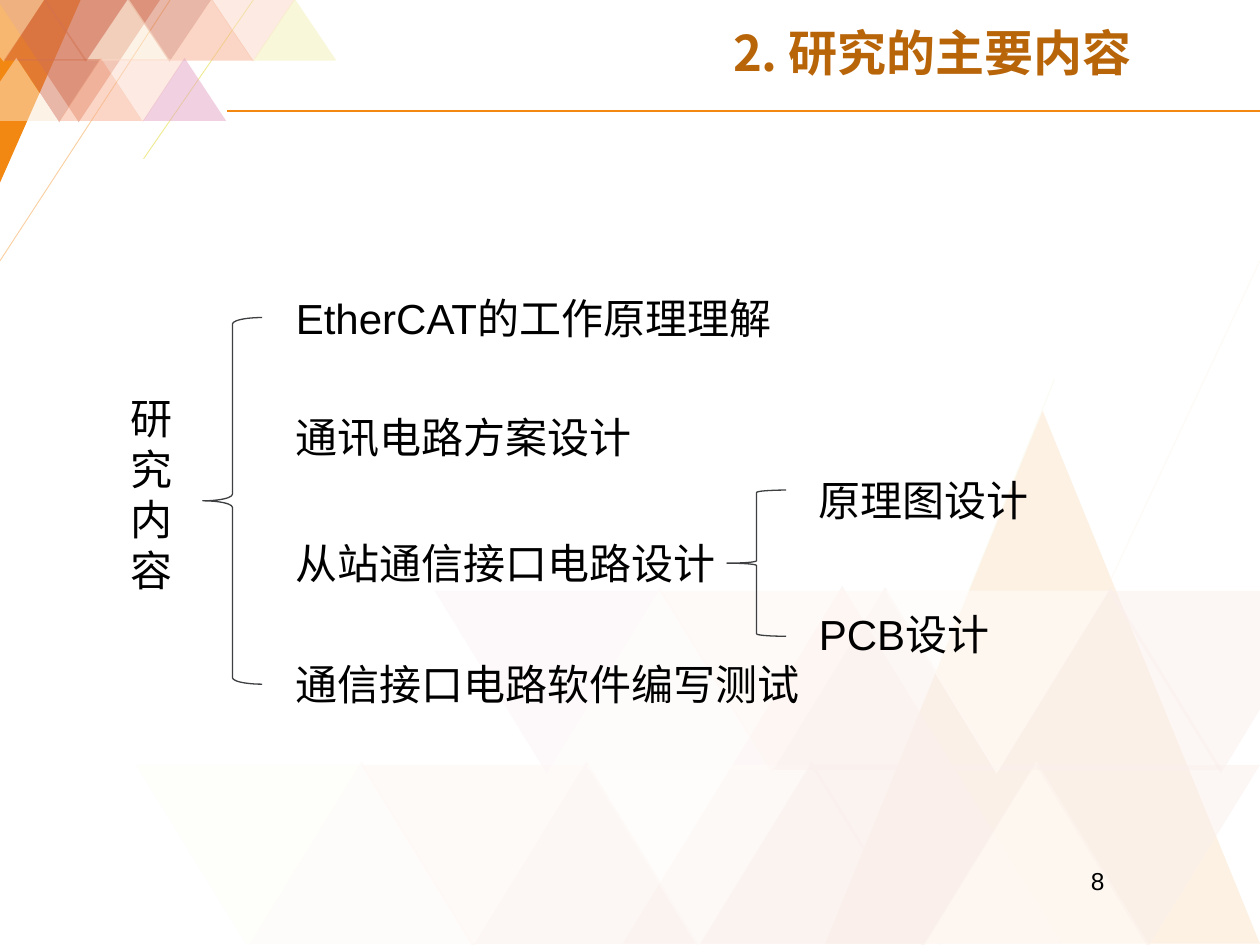
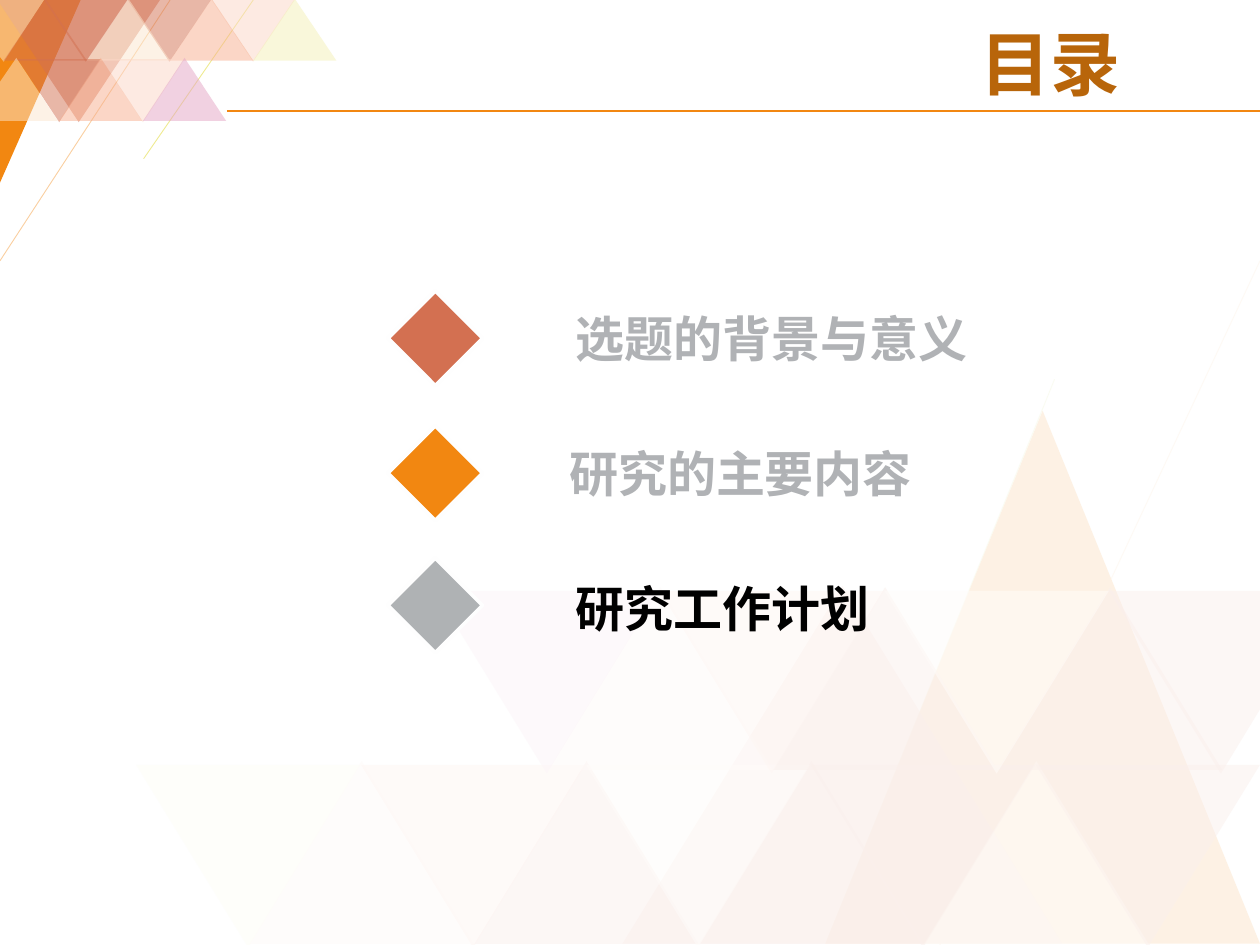
from dataclasses import dataclass

import lxml.etree
import pptx
import pptx.dml.color
import pptx.enum.shapes
import pptx.enum.text
import pptx.oxml.ns
import pptx.util

Inches = pptx.util.Inches
Preset = pptx.enum.shapes.MSO_SHAPE
Align = pptx.enum.text.PP_ALIGN
Anchor = pptx.enum.text.MSO_ANCHOR
qn = pptx.oxml.ns.qn


@dataclass(frozen=True)
class Theme:
    latin: str = "Arial"
    chinese: str = "Noto Sans CJK SC"
    orange: str = "F28711"
    rust: str = "D37051"
    peach: str = "FCD7C7"
    salmon: str = "F8AF8F"
    cream: str = "FCE7CF"
    lemon: str = "F4F1B6"
    pink: str = "E4A4C4"
    sand: str = "FACFA0"
    lime: str = "D6E388"
    straw: str = "EFEB91"
    white: str = "FFFFFF"
    diamond_edge: str = "FEFEFE"
    gray: str = "AFB2B4"
    muted: str = "B0B2B5"
    title: str = "B8650A"
    text: str = "000000"
    brace: str = "3D3F41"
    number_size: int = 14
    body_size: int = 24
    heading_size: int = 28
    contents_size: int = 40


THEME = Theme()


@dataclass(frozen=True)
class Box:
    left: float
    top: float
    width: float
    height: float

    def lengths(self) -> list:
        return [Inches(v) for v in (self.left, self.top, self.width, self.height)]


@dataclass(frozen=True)
class Rule:
    start: tuple
    end: tuple
    color: str
    weight: float = 0.5


@dataclass(frozen=True)
class Row:
    """Equal shapes side by side, one for each colour."""
    first: Box
    colors: tuple
    step: float = 0
    flipped: bool = False
    alpha: int = 50
    preset: int = Preset.ISOSCELES_TRIANGLE


@dataclass(frozen=True)
class Polygon:
    points: tuple
    color: str
    alpha: int = 50


@dataclass(frozen=True)
class Label:
    text: str
    box: Box
    size: int = THEME.body_size
    color: str = THEME.text
    bold: bool = False


@dataclass(frozen=True)
class Title:
    text: str
    box: Box
    size: int
    align: int
    anchor: int
    spacing: float


T = THEME
BIG, SMALL = 1.785, 0.665
BACKDROP = (
    Rule((6.57, 7.45), (8.37, 3.01), T.lime),
    Rule((7.45, 7.52), (10, 2.07), T.sand),
    Row(Box(6.55, 3.26, 3.45, 4.23), (T.orange,), alpha=100),
    Row(Box(4.94, 4.65, 3.49, 2.84), (T.rust,)),
    Row(Box(1.98, 6.04, 1.78, 1.45), (T.peach, T.rust, T.rust, T.cream), BIG),
    Row(Box(1.08, 6.07, 1.78, 1.45),
        (T.lemon, T.salmon, T.cream, T.rust, T.rust), BIG, True),
    Row(Box(4.35, 4.66, 1.78, 1.45), (T.peach, T.rust, T.rust), BIG),
    Row(Box(3.45, 4.69, 1.78, 1.45), (T.pink, T.salmon, T.cream), BIG, True),
    Polygon(((8.8, 4.69), (10, 4.69), (10, 5.63), (9.69, 6.14)), T.rust),
    # White veil that fades the large triangles
    Row(Box(0.3, 1.93, 9.7, 5.57), (T.white,), alpha=89, preset=Preset.RECTANGLE),
    Rule((2.01, 0), (1.14, 1.26), T.straw),
    Rule((1.35, 0), (0, 2.07), T.sand),
    Polygon(((0, 0), (0.64, 0), (0, 1.45)), T.orange, 100),
    Row(Box(-0.02, 0, 1.29, 0.97), (T.rust,), flipped=True),
    Row(Box(0.35, 0, 0.66, 0.49), (T.rust, T.rust, T.peach), SMALL, True),
    Polygon(((-0.01, 0), (0.35, 0), (0.03, 0.49), (-0.01, 0.44)), T.cream),
    Row(Box(0.03, -0.01, 0.66, 0.49), (T.rust, T.cream, T.salmon, T.lemon), 0.66),
    Row(Box(0.14, 0.47, 0.66, 0.5), (T.rust, T.peach), SMALL, True),
    Row(Box(0.47, 0.46, 0.66, 0.5), (T.salmon, T.pink), SMALL),
    Polygon(((0.13, 0.46), (0.46, 0.96), (0, 0.96), (0, 0.65)), T.cream),
    Rule((1.8, 0.88), (10, 0.88), T.orange, 1),
)

RESEARCH_TITLE = Title("2. 研究的主要内容", Box(1.25, 0.12, 7.83, 0.65),
                       T.heading_size, Align.RIGHT, Anchor.MIDDLE, 0.9)
RESEARCH_TREE = (
    Label("研究内容", Box(0.94, 3.07, 0.63, 1.7)),
    Label("EtherCAT的工作原理理解", Box(2.25, 2.27, 4.54, 0.5)),
    Label("通讯电路方案设计", Box(2.25, 3.22, 4.23, 0.5)),
    Label("从站通信接口电路设计", Box(2.25, 4.22, 3.98, 0.5)),
    Label("通信接口电路软件编写测试", Box(2.25, 5.18, 4.28, 0.5)),
    Label("原理图设计", Box(6.4, 3.72, 2.53, 0.5)),
    Label("PCB设计", Box(6.4, 4.78, 2.52, 0.5)),
    Label("8", Box(8.56, 6.82, 1.4, 0.52), T.number_size),
)
# Each brace with the curl of its ends
BRACES = ((Box(1.61, 2.52, 0.47, 2.91), 0.11), (Box(5.77, 3.89, 0.47, 1.16), 0.04))

CONTENTS_TITLE = Title("目录", Box(7.68, 0.11, 1.64, 1.44),
                       T.contents_size, Align.LEFT, Anchor.TOP, 1)
# Diamond top, diamond colour, entry
CONTENTS = (
    (2.31, T.rust, Label("选题的背景与意义", Box(4.47, 2.4, 3.73, 0.57),
                         T.heading_size, T.muted, True)),
    (3.38, T.orange, Label("研究的主要内容", Box(4.42, 3.47, 3.83, 0.57),
                           T.heading_size, T.muted, True)),
    (4.43, T.gray, Label("研究工作计划", Box(4.47, 4.54, 3.21, 0.57),
                         T.heading_size, T.text, True)),
)


def rgb(color: str) -> pptx.dml.color.RGBColor:
    return pptx.dml.color.RGBColor.from_string(color)


def paint(shape, color: str, alpha: int = 100) -> None:
    """Flat fill with no outline and no shadow."""
    shape.shadow.inherit = False
    shape.fill.solid()
    shape.fill.fore_color.rgb = rgb(color)
    shape.line.fill.background()
    if alpha < 100:
        fill_color = shape.element.spPr.find(".//" + qn("a:srgbClr"))
        lxml.etree.SubElement(fill_color, qn("a:alpha"), val=str(alpha * 1000))


def outline(shape, color: str, weight: float) -> None:
    shape.line.color.rgb = rgb(color)
    shape.line.width = pptx.util.Pt(weight)


def draw_rule(slide, rule: Rule) -> None:
    ends = [Inches(v) for v in rule.start + rule.end]
    line = slide.shapes.add_connector(pptx.enum.shapes.MSO_CONNECTOR.STRAIGHT, *ends)
    outline(line, rule.color, rule.weight)
    lxml.etree.SubElement(line.element.spPr, qn("a:effectLst"))


def draw_row(slide, row: Row) -> None:
    left, top, width, height = row.first.lengths()
    for i, color in enumerate(row.colors):
        piece = slide.shapes.add_shape(
            row.preset, left + i * Inches(row.step), top, width, height)
        paint(piece, color, row.alpha)
        if row.flipped:
            piece.element.spPr.xfrm.set("flipV", "1")


def draw_polygon(slide, polygon: Polygon) -> None:
    start, *rest = [(Inches(x), Inches(y)) for x, y in polygon.points]
    builder = slide.shapes.build_freeform(*start)
    builder.add_line_segments(rest, close=True)
    paint(builder.convert_to_shape(), polygon.color, polygon.alpha)


def build_backdrop(slide, layout) -> None:
    """Draw the backdrop on a slide, then move it to the layout both slides share."""
    draw = {Rule: draw_rule, Row: draw_row, Polygon: draw_polygon}
    title_count = len(slide.shapes)
    for item in BACKDROP:
        draw[type(item)](slide, item)
    for i, piece in enumerate(list(slide.shapes)[title_count:]):
        piece.element.find(".//" + qn("p:cNvPr")).set("id", str(100 + i))
        layout.shapes.element.insert(2 + i, piece.element)


def write(paragraph, text: str, font: str, size: int, color: str, bold: bool) -> None:
    run = paragraph.add_run()
    run.text = text
    run.font.name = font
    run.font.size = pptx.util.Pt(size)
    run.font.bold = bold
    run.font.color.rgb = rgb(color)
    properties = run.font._element
    properties.set("lang", "zh-CN")
    lxml.etree.SubElement(properties, qn("a:ea"), typeface=THEME.chinese)


def draw_label(slide, label: Label) -> None:
    frame = slide.shapes.add_textbox(*label.box.lengths()).text_frame
    frame.word_wrap = True
    write(frame.paragraphs[0], label.text, THEME.latin,
          label.size, label.color, label.bold)


def set_title(slide, title: Title) -> None:
    heading = slide.shapes.title
    heading.left, heading.top, heading.width, heading.height = title.box.lengths()
    frame = heading.text_frame
    frame.word_wrap = True
    frame.auto_size = pptx.enum.text.MSO_AUTO_SIZE.NONE
    frame.vertical_anchor = title.anchor
    paragraph = frame.paragraphs[0]
    paragraph.alignment = title.align
    paragraph.line_spacing = title.spacing
    write(paragraph, title.text, THEME.chinese, title.size, THEME.title, True)


def draw_brace(slide, box: Box, curl: float) -> None:
    brace = slide.shapes.add_shape(Preset.LEFT_BRACE, *box.lengths())
    brace.shadow.inherit = False
    brace.adjustments[0] = curl
    brace.fill.background()
    outline(brace, THEME.brace, 0.75)


def draw_diamond(slide, top: float, color: str) -> None:
    diamond = slide.shapes.add_shape(Preset.DIAMOND, *Box(3.08, top, 0.75, 0.75).lengths())
    paint(diamond, color)
    outline(diamond, THEME.diamond_edge, 2)


def main() -> None:
    deck = pptx.Presentation()
    deck.slide_width, deck.slide_height = Inches(10), Inches(7.5)
    layout = deck.slide_layouts.get_by_name("Title Only")

    research = deck.slides.add_slide(layout)
    build_backdrop(research, layout)
    set_title(research, RESEARCH_TITLE)
    for box, curl in BRACES:
        draw_brace(research, box, curl)
    for label in RESEARCH_TREE:
        draw_label(research, label)

    contents = deck.slides.add_slide(layout)
    set_title(contents, CONTENTS_TITLE)
    for top, color, entry in CONTENTS:
        draw_diamond(contents, top, color)
        draw_label(contents, entry)

    deck.save("out.pptx")


if __name__ == "__main__":
    main()
